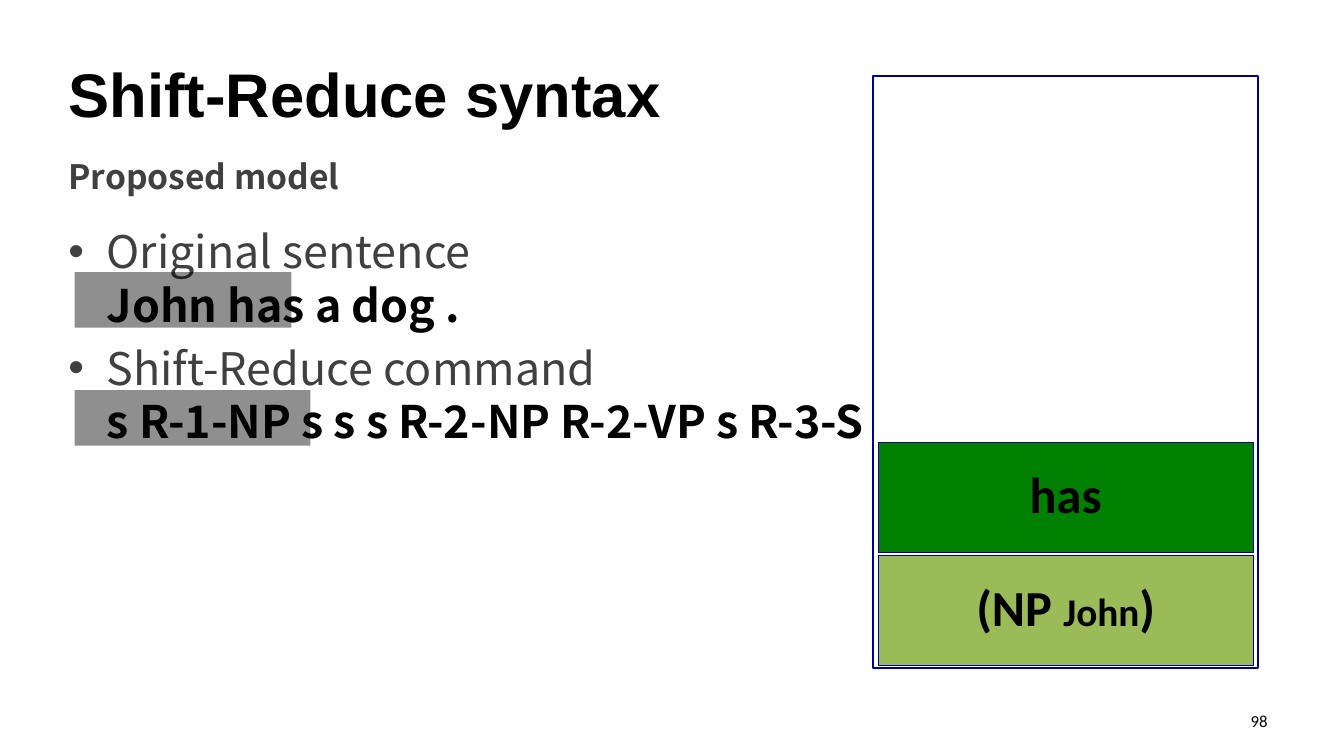
from pptx import Presentation
from pptx import util as u
from pptx.dml.color import RGBColor
from pptx.enum import shapes, text
from pptx.oxml.ns import qn
from lxml import etree

WIDTH, HEIGHT = 13.33, 7.5
LEFT, FULL = 0.58, 12.17
SANS, HEAD, LABEL = "Noto Sans CJK KR", "Arial", "Calibri"
BLACK, GREY, NAVY = "000000", "404040", "000090"

TITLE = "Shift-Reduce syntax"
SUBTITLE = "Proposed model"
PAGE = "98"
STEPS = [
    ("Original sentence", "John has a dog .", 2.15),
    ("Shift-Reduce command", "s R-1-NP s s s R-2-NP R-2-VP s R-3-S", 2.34),
]
STACK = [
    ("9BBB59", [("(NP ", 36), ("John", 28), (")", 36)]),
    ("008000", [("has", 36)]),
]
STACK_BOX = (8.66, 0.75, 3.82, 5.88)
ITEM_HEIGHT, ITEM_PITCH, ITEM_INSET = 1.09, 1.12, 0.05
DONE_LEFT, DONE_TOP, DONE_PITCH, DONE_HEIGHT = 0.74, 2.7, 1.17, 0.55


def colour(value):
    return RGBColor.from_string(value)


def apply(target, settings):
    for key, value in settings.items():
        setattr(target, key, value)


def add_run(paragraph, words, size, font, shade=BLACK, bold=False):
    run = paragraph.add_run()
    run.text = words
    apply(run.font, {"size": u.Pt(size), "name": font, "bold": bold})
    run.font.color.rgb = colour(shade)


def add_rect(slide, box, fill=None, line=None, weight=0.75, alpha=None):
    rect = slide.shapes.add_shape(shapes.MSO_SHAPE.RECTANGLE, *map(u.Inches, box))
    rect.shadow.inherit = False
    if fill:
        rect.fill.solid()
        rect.fill.fore_color.rgb = colour(fill)
    else:
        rect.fill.background()
    if alpha:
        tint = rect.fill._xPr.find(qn("a:solidFill"))[0]
        etree.SubElement(tint, qn("a:alpha")).set("val", str(alpha * 1000))
    if line:
        rect.line.color.rgb = colour(line)
        rect.line.width = u.Pt(weight)
    else:
        rect.line.fill.background()
    return rect


def add_text(slide, box, anchor=text.MSO_ANCHOR.TOP):
    frame = slide.shapes.add_textbox(*map(u.Inches, box)).text_frame
    apply(frame, {"word_wrap": True, "vertical_anchor": anchor})
    return frame


def add_bullet(paragraph):
    props = paragraph._p.get_or_add_pPr()
    indent = u.Inches(0.38)
    props.set("marL", str(indent))
    props.set("indent", str(-indent))
    for tag, key, value in (("a:buFont", "typeface", HEAD), ("a:buChar", "char", "•")):
        etree.SubElement(props, qn(tag)).set(key, value)


def main():
    deck = Presentation()
    apply(deck, {"slide_width": u.Inches(WIDTH), "slide_height": u.Inches(HEIGHT)})
    slide = deck.slides.add_slide(deck.slide_layouts[5])

    title = slide.shapes.title
    apply(title, dict(zip(("left", "top", "width", "height"),
                          map(u.Inches, (LEFT, 0.44, FULL, 0.97)))))
    title.text_frame.vertical_anchor = text.MSO_ANCHOR.MIDDLE
    heading = title.text_frame.paragraphs[0]
    heading.alignment = text.PP_ALIGN.LEFT
    add_run(heading, TITLE, 44, HEAD, bold=True)

    subtitle = add_text(slide, (LEFT, 1.5, FULL, 0.38))
    add_run(subtitle.paragraphs[0], SUBTITLE, 24, SANS, GREY, True)

    steps = add_text(slide, (LEFT, 2.17, 8.8, 4.18))
    for row, (label, tokens, done) in enumerate(STEPS):
        step = steps.add_paragraph() if row else steps.paragraphs[0]
        if row:
            step.space_before = u.Pt(6.4)
        add_bullet(step)
        add_run(step, label, 32, SANS, GREY)
        step.add_line_break()
        add_run(step, tokens, 32, SANS, bold=True)
        add_rect(slide, (DONE_LEFT, DONE_TOP + row * DONE_PITCH, done, DONE_HEIGHT),
                 BLACK, alpha=44)

    add_rect(slide, STACK_BOX, line=NAVY, weight=1.5)
    left, top, width, height = STACK_BOX
    floor = top + height - 0.03
    for level, (fill, parts) in enumerate(STACK):
        item = add_rect(slide, (left + ITEM_INSET, floor - ITEM_HEIGHT - level * ITEM_PITCH,
                                width - 2 * ITEM_INSET, ITEM_HEIGHT), fill, NAVY)
        apply(item.text_frame, {"margin_left": 0, "margin_right": 0, "margin_top": 0,
                                "margin_bottom": 0, "word_wrap": True,
                                "vertical_anchor": text.MSO_ANCHOR.MIDDLE})
        words = item.text_frame.paragraphs[0]
        apply(words, {"alignment": text.PP_ALIGN.CENTER, "line_spacing": 0.9})
        for part, size in parts:
            add_run(words, part, size, LABEL, bold=True)

    page = add_text(slide, (9.56, 6.95, 3.11, 0.4), text.MSO_ANCHOR.MIDDLE).paragraphs[0]
    page.alignment = text.PP_ALIGN.RIGHT
    add_run(page, PAGE, 12, LABEL)

    deck.save("out.pptx")


if __name__ == "__main__":
    main()
